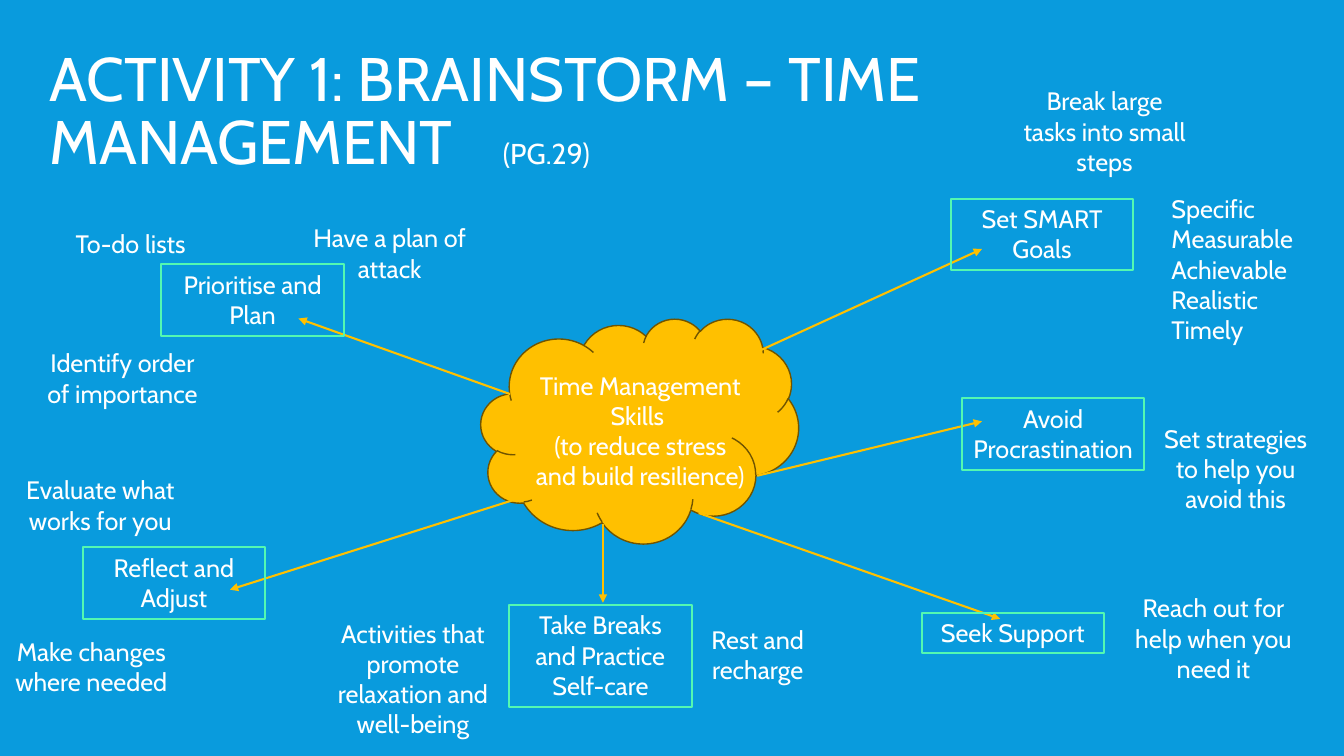
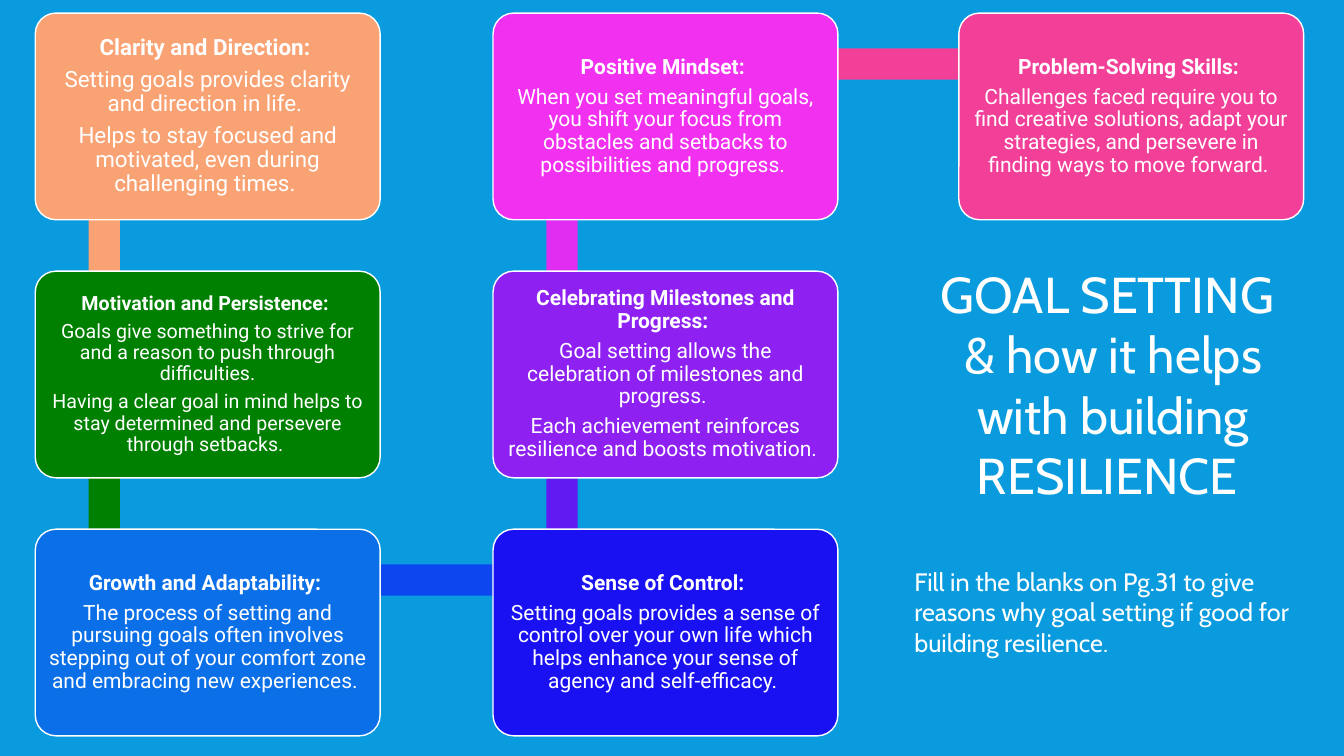
import pptx
import pptx.util
import pptx.dml.color
import pptx.enum.shapes
import pptx.enum.text
import pptx.oxml.ns
from lxml import etree

PX = 9144  # 100 px to the inch
COLORS = {
    "background": "099BDD", "text": "FFFFFF", "cloud": "FFC000",
    "cloud_edge": "705400", "topic": "53F8B1",
}
SHAPES = pptx.enum.shapes.MSO_SHAPE
CENTER = pptx.enum.text.PP_ALIGN.CENTER
LEFT = pptx.enum.text.PP_ALIGN.LEFT
TOP = pptx.enum.text.MSO_ANCHOR.TOP
MIDDLE = pptx.enum.text.MSO_ANCHOR.MIDDLE
BODY_SIZE = 18

TITLE = [("ACTIVITY 1: BRAINSTORM – TIME MANAGEMENT \t", 43.9), ("(PG.29)", 20.5)]
CLOUD = (477, 316, 315, 223)
CLOUD_TEXT = ["Time Management Skills ", "(to reduce stress and build resilience)"]
ARROWS = [  # from x, y, to x, y
    (751, 349, 974, 247), (506, 391, 296, 316), (519, 493, 228, 585),
    (751, 472, 974, 418), (598, 520, 598, 598), (693, 509, 992, 614),
]
LABEL_WIDTH = 181
TOPICS = [  # text, left, top, lines
    ("Prioritise and Plan", 160, 262, 2),
    ("Set SMART Goals", 943, 197, 2),
    ("Avoid Procrastination", 954, 395, 2),
    ("Seek Support", 914, 608, 1),
    ("Take Breaks and Practice Self-care", 505, 600, 3),
    ("Reflect and Adjust", 82, 543, 2),
]
IDEAS = [
    ("To-do lists", 39, 222, 1),
    ("Identify order of importance", 31, 340, 2),
    ("Have a plan of attack", 296, 216, 2),
    ("Evaluate what works for you", 9, 466, 2),
    ("Make changes where needed", 0, 626, 2),
    ("Break large tasks into small steps", 1005, 80, 3),
    ("Set strategies to help you avoid this", 1135, 415, 3),
    ("Reach out for help when you need it", 1113, 583, 3),
    ("Rest and recharge", 661, 614, 2),
    ("Activities that promote relaxation and well-being", 319, 608, 4),
]
SMART = ["Specific", "Measurable", "Achievable", "Realistic", "Timely"]

CARD_WIDTH, CARD_HEIGHT = 342, 205
COLUMNS = (35, 489, 951)
ROWS = (13, 269, 525)
LINK_THICKNESS = 31
CARDS = [  # column, row, fill, link to the next card, text size, paragraphs
    (0, 0, "F9A374", "F9A374", 16, [
        "Clarity and Direction: ",
        "Setting goals provides clarity and direction in life. ",
        "Helps to stay focused and motivated, even during challenging times. "]),
    (0, 1, "008000", "008000", 14, [
        "Motivation and Persistence: ",
        "Goals give something to strive for and a reason to push through difficulties.",
        "Having a clear goal in mind helps to stay determined and persevere through setbacks. "]),
    (0, 2, "0B6FE8", "0C46EE", 15, [
        "Growth and Adaptability: ",
        "The process of setting and pursuing goals often involves stepping out of your "
        "comfort zone and embracing new experiences. "]),
    (1, 2, "1911F2", "611AF2", 15, [
        "Sense of Control: ",
        "Setting goals provides a sense of control over your own life which helps enhance "
        "your sense of agency and self-efficacy. "]),
    (1, 1, "8E21F2", "E12DF2", 15, [
        "Celebrating Milestones and Progress: ",
        "Goal setting allows the celebration of milestones and progress. ",
        "Each achievement reinforces resilience and boosts motivation. "]),
    (1, 0, "F230F0", "F24099", 15, [
        "Positive Mindset: ",
        "When you set meaningful goals, you shift your focus from obstacles and setbacks "
        "to possibilities and progress. "]),
    (2, 0, "F24099", None, 15, [
        "Problem-Solving Skills: ",
        "Challenges faced require you to find creative solutions, adapt your strategies, "
        "and persevere in finding ways to move forward. "]),
]
GOAL_HEADING = ["GOAL SETTING ", "& how it helps with building RESILIENCE "]
GOAL_TASK = "Fill in the blanks on Pg.31 to give reasons why goal setting if good for building resilience."


def rgb(value):
    return pptx.dml.color.RGBColor.from_string(value)


def style(font, size, name="Cabin", bold=False):
    font.size = pptx.util.Pt(size)
    font.name = name
    font.bold = bold
    font.color.rgb = rgb(COLORS["text"])


def add_slide(deck):
    slide = deck.slides.add_slide(deck.slide_layouts[6])
    slide.background.fill.solid()
    slide.background.fill.fore_color.rgb = rgb(COLORS["background"])
    return slide


def add_box(slide, kind, area, fill=None, line=None, line_width=1):
    box = slide.shapes.add_shape(kind, *(value * PX for value in area))
    box.shadow.inherit = False
    if fill:
        box.fill.solid()
        box.fill.fore_color.rgb = rgb(fill)
    else:
        box.fill.background()
    if line:
        box.line.color.rgb = rgb(line)
        box.line.width = pptx.util.Pt(line_width)
    else:
        box.line.fill.background()
    return box


def add_text(slide, area):
    return slide.shapes.add_textbox(*(value * PX for value in area))


def write(box, texts, size=BODY_SIZE, align=CENTER, anchor=TOP):
    frame = box.text_frame
    frame.word_wrap = True
    frame.vertical_anchor = anchor
    frame.text = "\n".join(texts)
    for para in frame.paragraphs:
        para.alignment = align
        for span in para.runs:
            style(span.font, size)
    return frame


def label_area(left, top, lines):
    return left, top, LABEL_WIDTH, round(10 + 30.4 * lines)


def add_arrow(slide, ends):
    arrow = slide.shapes.add_connector(
        pptx.enum.shapes.MSO_CONNECTOR.STRAIGHT, *(value * PX for value in ends))
    arrow.line.color.rgb = rgb(COLORS["cloud"])
    arrow.line.width = pptx.util.Pt(1.5)
    qn = pptx.oxml.ns.qn
    etree.SubElement(arrow.line._get_or_add_ln(), qn("a:tailEnd"), type="triangle")
    etree.SubElement(arrow._element.spPr, qn("a:effectLst"))


def add_link(slide, here, following, fill):
    """Band from one card to the next, later covered by both cards."""
    (column, row), (next_column, next_row) = here, following
    left, top = COLUMNS[column], ROWS[min(row, next_row)]
    if column == next_column:
        area = left + 53, top + 50, LINK_THICKNESS, ROWS[1] - ROWS[0]
    else:
        area = left + 69, top + 35, COLUMNS[next_column] - left, LINK_THICKNESS
    add_box(slide, SHAPES.RECTANGLE, area, fill)


def add_card(slide, column, row, fill, size, texts):
    card = add_box(slide, SHAPES.ROUNDED_RECTANGLE,
                   (COLUMNS[column], ROWS[row], CARD_WIDTH, CARD_HEIGHT), fill, COLORS["text"])
    card.adjustments[0] = 0.1
    frame = write(card, texts, size, anchor=MIDDLE)
    inset = (7 if size == 16 else 6) * PX
    frame.margin_left = frame.margin_right = frame.margin_top = frame.margin_bottom = inset
    for index, para in enumerate(frame.paragraphs):
        para.line_spacing = 0.9
        para.space_after = pptx.util.Pt(size * 0.35)
        style(para.runs[0].font, size, "Roboto", index == 0)


def build_brainstorm(deck):
    slide = add_slide(deck)
    title = add_text(slide, (39, 46, 1255, 165))
    title.text_frame.word_wrap = True
    para = title.text_frame.paragraphs[0]
    para.line_spacing = 0.85
    for text, size in TITLE:
        span = para.add_run()
        span.text = text
        style(span.font, size)
    add_box(slide, SHAPES.CLOUD, CLOUD, COLORS["cloud"], COLORS["cloud_edge"])
    write(add_text(slide, (519, 362, 232, 131)), CLOUD_TEXT)
    for ends in ARROWS:
        add_arrow(slide, ends)
    for text, *place in TOPICS:
        write(add_box(slide, SHAPES.RECTANGLE, label_area(*place),
                      line=COLORS["topic"], line_width=1.5), [text])
    for text, *place in IDEAS:
        write(add_text(slide, label_area(*place)), [text])
    write(add_text(slide, label_area(1152, 187, len(SMART))), SMART, align=LEFT)


def build_goals(deck):
    slide = add_slide(deck)
    for index, (column, row, fill, link, size, texts) in enumerate(CARDS):
        if link:
            add_link(slide, (column, row), CARDS[index + 1][:2], link)
        add_card(slide, column, row, fill, size, texts)
    frame = write(add_text(slide, (897, 256, 414, 404)), GOAL_HEADING + [GOAL_TASK], 36)
    task = frame.paragraphs[-1]
    task.alignment = LEFT
    task.space_before = pptx.util.Pt(44)
    style(task.runs[0].font, BODY_SIZE)


def main():
    deck = pptx.Presentation()
    deck.slide_width, deck.slide_height = 1333 * PX, 750 * PX
    build_brainstorm(deck)
    build_goals(deck)
    deck.save("out.pptx")


if __name__ == "__main__":
    main()
